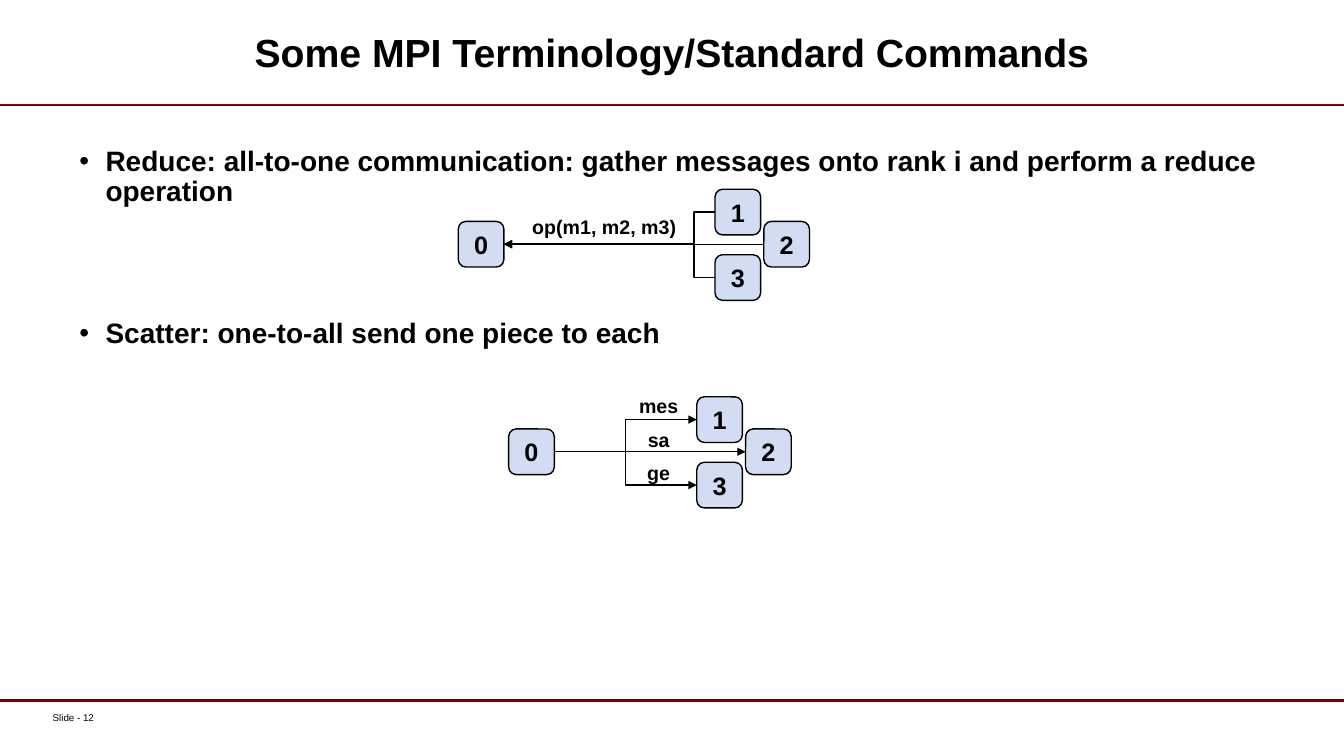
from dataclasses import dataclass

from lxml.etree import SubElement
from pptx import Presentation
from pptx.dml.color import RGBColor
from pptx.enum.shapes import MSO_CONNECTOR as Link, MSO_SHAPE as Preset
from pptx.enum.text import MSO_ANCHOR as Anchor, MSO_AUTO_SIZE as AutoSize, PP_ALIGN as Align
from pptx.oxml.ns import qn
from pptx.util import Cm, Pt


@dataclass(frozen=True)
class Theme:
    """Colours, font and type sizes of the slide."""
    font: str = "Arial"
    ink: RGBColor = RGBColor(0x00, 0x00, 0x00)
    rule: RGBColor = RGBColor(0x80, 0x00, 0x00)
    node: RGBColor = RGBColor(0xD2, 0xDC, 0xF2)
    title: int = 28
    body: int = 20
    rank: int = 18
    label: int = 14
    footer: int = 7


THEME = Theme()
WIDTH, HEIGHT = 33.87, 19.05
NODE = 1.15
LABEL_HEIGHT = 0.86


def set_all(target, values):
    """Set every attribute named in a dict of format values."""
    for key, value in values.items():
        setattr(target, key, value)


def write(paragraph, text, size, bold=True, **layout):
    """Fill a paragraph with one run in the theme font."""
    set_all(paragraph, layout)
    run = paragraph.add_run()
    run.text = text
    set_all(run.font, {"name": THEME.font, "size": Pt(size), "bold": bold})
    run.font.color.rgb = THEME.ink


def add_text(slide, box, **frame_format):
    """Add a wrapping text box and return its frame."""
    frame = slide.shapes.add_textbox(*map(Cm, box)).text_frame
    set_all(frame, {"word_wrap": True, "auto_size": AutoSize.NONE, **frame_format})
    return frame


def add_line(slide, kind, start, end, color, width, arrow=False, bend=None):
    """Draw a connector, with an arrowhead and an elbow position on request."""
    line = slide.shapes.add_connector(kind, *map(Cm, (*start, *end)))
    line.line.color.rgb = color
    line.line.width = Pt(width)
    properties = line.element.spPr
    if arrow:
        SubElement(line.line._get_or_add_ln(), qn("a:tailEnd"), type="triangle")
    SubElement(properties, qn("a:effectLst"))
    if bend is not None:
        guides = properties.find(qn("a:prstGeom")).get_or_add_avLst()
        SubElement(guides, qn("a:gd"), name="adj1", fmla=f"val {round(bend * 100000)}")
    return line


def add_node(slide, rank, left, top):
    """Draw the rounded square of one rank."""
    node = slide.shapes.add_shape(Preset.ROUNDED_RECTANGLE, *map(Cm, (left, top, NODE, NODE)))
    node.shadow.inherit = False
    node.fill.solid()
    node.fill.fore_color.rgb = THEME.node
    node.line.color.rgb = THEME.ink
    node.line.width = Pt(1)
    node.text_frame.vertical_anchor = Anchor.MIDDLE
    write(node.text_frame.paragraphs[0], str(rank), THEME.rank, alignment=Align.CENTER)
    return node


def add_diagram(slide, left, top, reach, labels, label_box, bend, inward=False):
    """Draw rank 0 linked with ranks 1 to 3, inward or outward."""
    offsets = [(0, 0.81), (reach, 0), (reach + 1.23, 0.81), (reach, 1.65)]
    corners = [(left + x, top + y) for x, y in offsets]
    nodes = [add_node(slide, rank, *corner) for rank, corner in enumerate(corners)]
    root = (corners[0][0] + NODE, corners[0][1] + NODE / 2)
    for rank in (1, 2, 3):
        peer = (corners[rank][0], corners[rank][1] + NODE / 2)
        ends = [(root, nodes[0], 3), (peer, nodes[rank], 1)]
        (start, source, exit_side), (end, target, entry_side) = ends[::-1] if inward else ends
        straight = rank == 2
        link = add_line(slide, Link.STRAIGHT if straight else Link.ELBOW, start, end,
                        THEME.ink, 1, arrow=True, bend=None if straight else bend)
        if straight:
            link.begin_connect(source, exit_side)
            link.end_connect(target, entry_side)
    x, y, width = label_box
    for row, label in enumerate(labels):
        frame = add_text(slide, (left + x, top + y + row * 0.85, width, LABEL_HEIGHT))
        write(frame.paragraphs[0], label, THEME.label, alignment=Align.CENTER)


def add_title(slide, box, text):
    """Place and format the title placeholder."""
    title = slide.shapes.title
    set_all(title, dict(zip(("left", "top", "width", "height"), map(Cm, box))))
    set_all(title.text_frame, {"word_wrap": True, "auto_size": AutoSize.NONE,
                               "vertical_anchor": Anchor.MIDDLE})
    write(title.text_frame.paragraphs[0], text, THEME.title,
          alignment=Align.CENTER, line_spacing=Pt(THEME.title))


def add_bullets(slide, box, items):
    """Write the bulleted commands, each with its space before in points."""
    frame = add_text(slide, box)
    for index, (text, gap) in enumerate(items):
        paragraph = frame.add_paragraph() if index else frame.paragraphs[0]
        write(paragraph, text, THEME.body, line_spacing=0.9, space_before=Pt(gap))
        properties = paragraph._p.get_or_add_pPr()
        properties.set("marL", str(Cm(0.66)))
        properties.set("indent", str(-Cm(0.66)))
        SubElement(properties, qn("a:buFont"), typeface=THEME.font)
        SubElement(properties, qn("a:buChar"), char="•")


def add_frame(slide, box, footer):
    """Draw the two rules and the slide number within the given box."""
    left, top, width, height = box
    for y in (top + 2.64, top + height - 1.4):
        add_line(slide, Link.STRAIGHT, (left, y), (left + width, y), THEME.rule, 1.75)
    number = add_text(slide, (left + 1.2, top + height - 1.12, 4.04, 0.61),
                      margin_left=Cm(0.13), margin_top=0, margin_right=0, margin_bottom=0)
    write(number.paragraphs[0], footer, THEME.footer, bold=False)


def build_terminology_slide(deck):
    """Build the slide on the reduce and scatter commands."""
    slide = deck.slides.add_slide(deck.slide_layouts[5])
    add_frame(slide, (0, 0, WIDTH, HEIGHT), "Slide - 12")
    add_title(slide, (3.48, 0.28, 26.9, 2.26), "Some MPI Terminology/Standard Commands")
    add_bullets(slide, (1.75, 3.58, 30.33, 13.41), [
        ("Reduce: all-to-one communication: gather messages onto rank i "
         "and perform a reduce operation", 0),
        ("Scatter: one-to-all send one piece to each", 80),
    ])
    add_diagram(slide, 11.55, 4.77, 6.47, ["op(m1, m2, m3)"], (1.52, 0.53, 4.32),
                bend=0.1, inward=True)
    add_diagram(slide, 12.82, 10, 4.74, ["mes", "sa", "ge"], (2.84, -0.2, 1.88), bend=0.5)


def main():
    """Create and save the deck."""
    deck = Presentation()
    set_all(deck, {"slide_width": Cm(WIDTH), "slide_height": Cm(HEIGHT)})
    build_terminology_slide(deck)
    deck.save("out.pptx")


if __name__ == "__main__":
    main()
